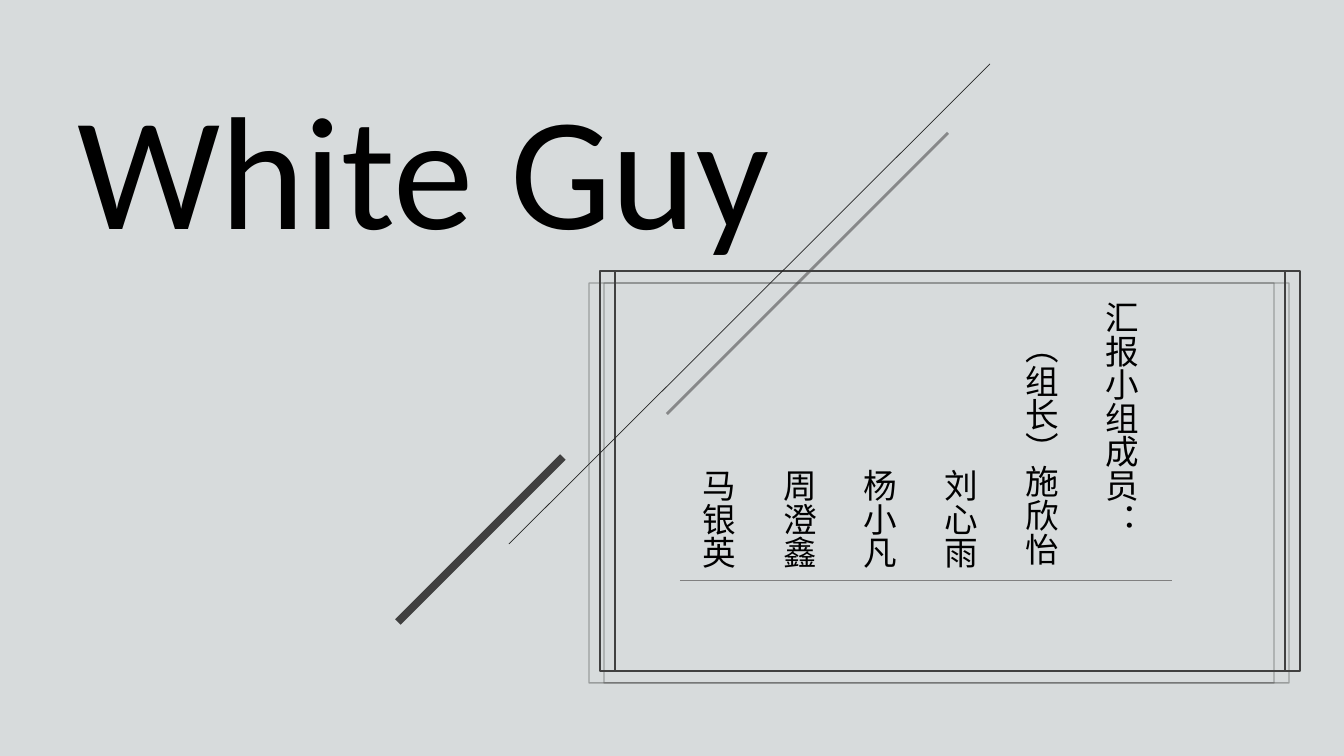
import pptx
import pptx.dml.color
import pptx.enum.shapes
import pptx.enum.text
import pptx.oxml.ns
import pptx.util
from lxml import etree

EMU_PER_PIXEL = 914400 / 100.8
DARK = "404040"
MEMBERS = ["刘心雨", "杨小凡", "周澄鑫", "马银英"]


def px(pixels):
    """Turn pixels into EMU."""
    return pptx.util.Emu(round(pixels * EMU_PER_PIXEL))


def rgb(value):
    """Turn a hex string into a colour."""
    return pptx.dml.color.RGBColor.from_string(value)


def add_child(parent, tag, **attributes):
    """Append a DrawingML element to a parent element."""
    return etree.SubElement(parent, pptx.oxml.ns.qn(tag), **attributes)


def style_line(shape, color, width, opacity=100):
    """Set the colour, width and opacity of a line or outline."""
    shape.line.color.rgb = rgb(color)
    shape.line.width = pptx.util.Pt(width)
    if opacity < 100:
        color_element = shape.line.fill._xPr.find(".//" + pptx.oxml.ns.qn("a:srgbClr"))
        add_child(color_element, "a:alpha", val=str(opacity * 1000))


def add_frame(slide, left, top, opacity=100):
    """Add one unfilled outline of the member panel."""
    shape = slide.shapes.add_shape(
        pptx.enum.shapes.MSO_SHAPE.RECTANGLE, px(left), px(top), px(685), px(400))
    shape.shadow.inherit = False
    shape.fill.background()
    style_line(shape, DARK, 1, opacity)


def add_line(slide, start, end, color, width, opacity=100):
    """Add a straight line between two points."""
    connector = slide.shapes.add_connector(
        pptx.enum.shapes.MSO_CONNECTOR.STRAIGHT, *map(px, start + end))
    style_line(connector, color, width, opacity)
    add_child(connector._element.spPr, "a:effectLst")


def place(shape, left, top, width, height):
    """Position a placeholder and set up its text frame."""
    shape.left, shape.top, shape.width, shape.height = map(px, (left, top, width, height))
    frame = shape.text_frame
    frame.word_wrap = True
    frame.auto_size = pptx.enum.text.MSO_AUTO_SIZE.NONE
    frame.vertical_anchor = pptx.enum.text.MSO_ANCHOR.TOP
    return frame


def write(paragraph, text, size, spacing=1, indent=0, font="Calibri", color="000000"):
    """Write formatted text into an unbulleted, start-aligned paragraph."""
    paragraph.alignment = pptx.enum.text.PP_ALIGN.LEFT
    paragraph.line_spacing = spacing
    paragraph.space_before = pptx.util.Pt(0)
    properties = paragraph._p.get_or_add_pPr()
    properties.set("marL", str(px(indent)))
    properties.set("indent", "0")
    add_child(properties, "a:buNone")
    run = paragraph.add_run()
    run.text = text
    run.font.size = pptx.util.Pt(size)
    run.font.name = font
    run.font.color.rgb = rgb(color)


def add_members(placeholder):
    """Fill the vertical list of the reporting group."""
    frame = place(placeholder, 643, 296, 549, 349)
    frame._txBody.bodyPr.set("vert", "eaVert")
    columns = [("汇报小组成员：", 0), ("（组长）施欣怡", 30)]
    columns += [(member, 168) for member in MEMBERS]
    for index, (text, indent) in enumerate(columns):
        paragraph = frame.add_paragraph() if index else frame.paragraphs[0]
        write(paragraph, text, size=24, spacing=2, indent=indent)


def main():
    """Build the title slide and save it."""
    presentation = pptx.Presentation()
    presentation.slide_width, presentation.slide_height = px(1344), px(756)
    slide = presentation.slides.add_slide(presentation.slide_layouts[1])
    slide.background.fill.solid()
    slide.background.fill.fore_color.rgb = rgb("D7DBDC")

    title = place(slide.shapes.title, 67, 63, 771, 206)
    write(title.paragraphs[0], "White Guy", size=115)
    add_members(slide.placeholders[1])

    for shift in (15, 0):
        add_frame(slide, 589 + shift, 283, opacity=40)
        add_frame(slide, 600 + shift, 271)
        add_line(slide, (680 + shift, 580), (1157 + shift, 580), "808080", 0.5)
    add_line(slide, (509, 544), (990, 64), "262626", 0.5)
    add_line(slide, (563, 457), (398, 622), DARK, 5.5)
    add_line(slide, (948, 133), (667, 414), DARK, 0, opacity=52)

    presentation.save("out.pptx")


main()
